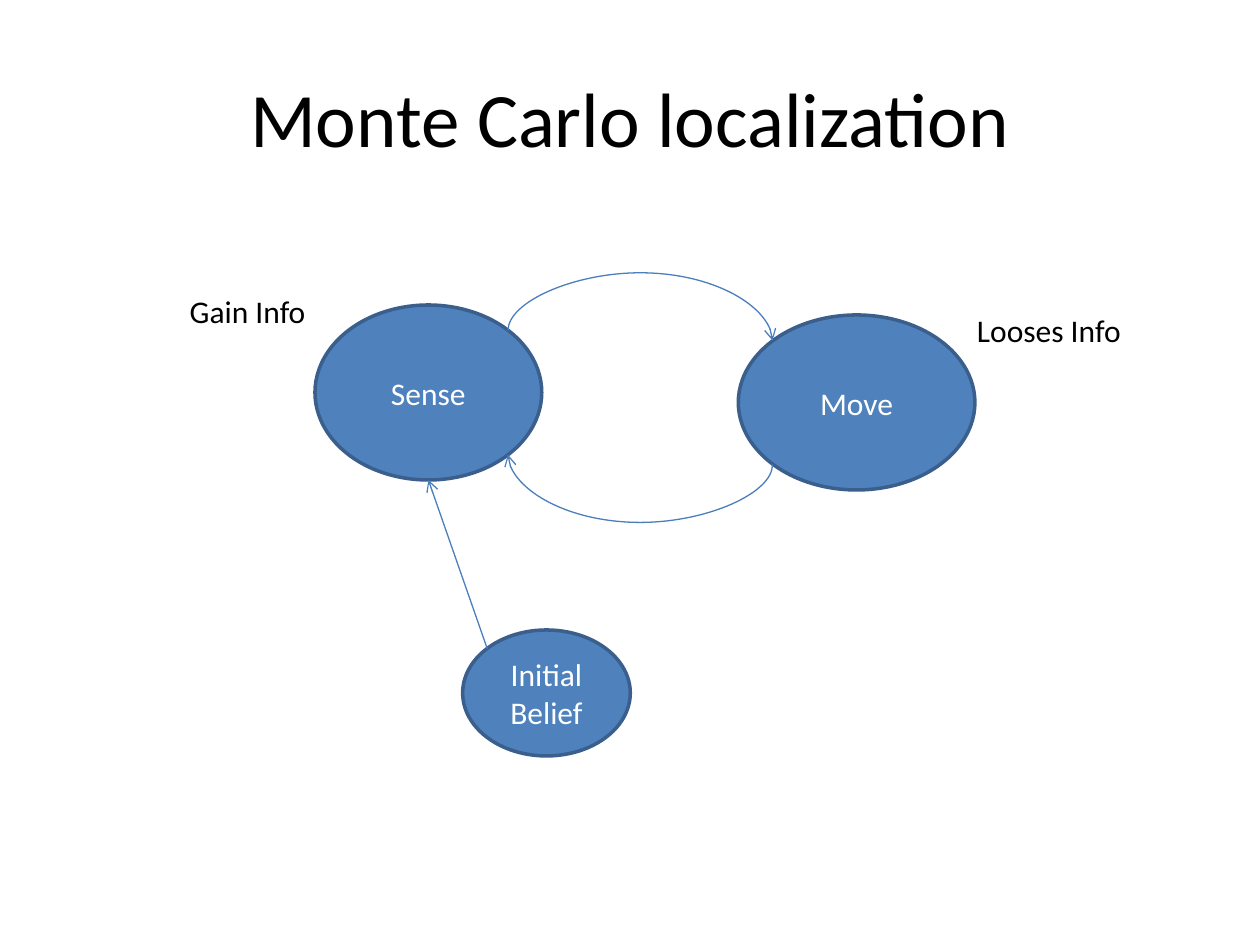
import pptx
import pptx.util
import pptx.dml.color
import pptx.enum.shapes
import pptx.enum.text
import pptx.oxml.ns
import lxml.etree

Pt = pptx.util.Pt
Kind = pptx.enum.shapes.MSO_CONNECTOR
Align = pptx.enum.text.PP_ALIGN
Anchor = pptx.enum.text.MSO_ANCHOR
qn = pptx.oxml.ns.qn


def color(code):
    return pptx.dml.color.RGBColor.from_string(code)


class Board:
    font = "Calibri"
    ink = "000000"
    pale = "FFFFFF"
    fill = "4F81BD"
    edge = "3A5F8C"
    wire = "4B7EBC"

    def __init__(self, deck):
        self.slide = deck.slides.add_slide(deck.slide_layouts[5])

    def text(self, frame, words, size, code, align):
        para = frame.paragraphs[0]
        para.alignment = align
        run = para.add_run()
        run.text = words
        run.font.name = self.font
        run.font.size = Pt(size)
        run.font.color.rgb = color(code)

    def title(self, words, *box):
        shape = self.slide.shapes.title
        shape.left, shape.top, shape.width, shape.height = map(Pt, box)
        shape.text_frame.vertical_anchor = Anchor.MIDDLE
        self.text(shape.text_frame, words, 44, self.ink, Align.CENTER)

    def oval(self, words, *box):
        kind = pptx.enum.shapes.MSO_SHAPE.OVAL
        shape = self.slide.shapes.add_shape(kind, *map(Pt, box))
        shape.shadow.inherit = False
        shape.fill.solid()
        shape.fill.fore_color.rgb = color(self.fill)
        shape.line.color.rgb = color(self.edge)
        shape.line.width = Pt(2)
        shape.text_frame.word_wrap = True
        shape.text_frame.vertical_anchor = Anchor.MIDDLE
        self.text(shape.text_frame, words, 18, self.pale, Align.CENTER)

    def label(self, words, *box):
        frame = self.slide.shapes.add_textbox(*map(Pt, box)).text_frame
        frame.word_wrap = False
        frame.auto_size = pptx.enum.text.MSO_AUTO_SIZE.SHAPE_TO_FIT_TEXT
        self.text(frame, words, 18, self.ink, Align.LEFT)

    def arrow(self, kind, *ends):
        link = self.slide.shapes.add_connector(kind, *map(Pt, ends))
        link.line.color.rgb = color(self.wire)
        link.line.width = Pt(0.75)
        props = link._element.spPr
        line = props.find(qn("a:ln"))
        lxml.etree.SubElement(line, qn("a:tailEnd"), type="arrow")
        lxml.etree.SubElement(props, qn("a:effectLst"))
        return link

    def arc(self, x, y, rise, span, turn, bend):
        link = self.arrow(Kind.CURVE, x + rise / 2, y - span / 2,
                          x - rise / 2, y + span / 2)
        props = link._element.spPr
        props.find(qn("a:xfrm")).set("rot", str(turn * 60000))
        guides = props.find(qn("a:prstGeom")).find(qn("a:avLst"))
        lxml.etree.SubElement(guides, qn("a:gd"), name="adj1",
                              fmla=f"val {bend}")


deck = pptx.Presentation()
deck.slide_width, deck.slide_height = Pt(720), Pt(540)
board = Board(deck)
board.title("Monte Carlo localization", 36, 21.6, 648, 90)
board.oval("Sense", 180, 174.3, 129.6, 100)
board.oval("Move", 421.9, 180, 135.2, 100)
board.oval("Initial Belief", 264.4, 360, 95.8, 72)
board.arrow(Kind.STRAIGHT, 278.4, 370.6, 244.8, 274.3)
for y, turn in ((191.8, 270), (262.6, 90)):
    board.arc(365.9, y, 5.7, 151.2, turn, -580700)
board.label("Looses Info", 551.2, 174.3, 98, 29)
board.label("Gain Info", 101.3, 163.4, 81.5, 29)
deck.save("out.pptx")
